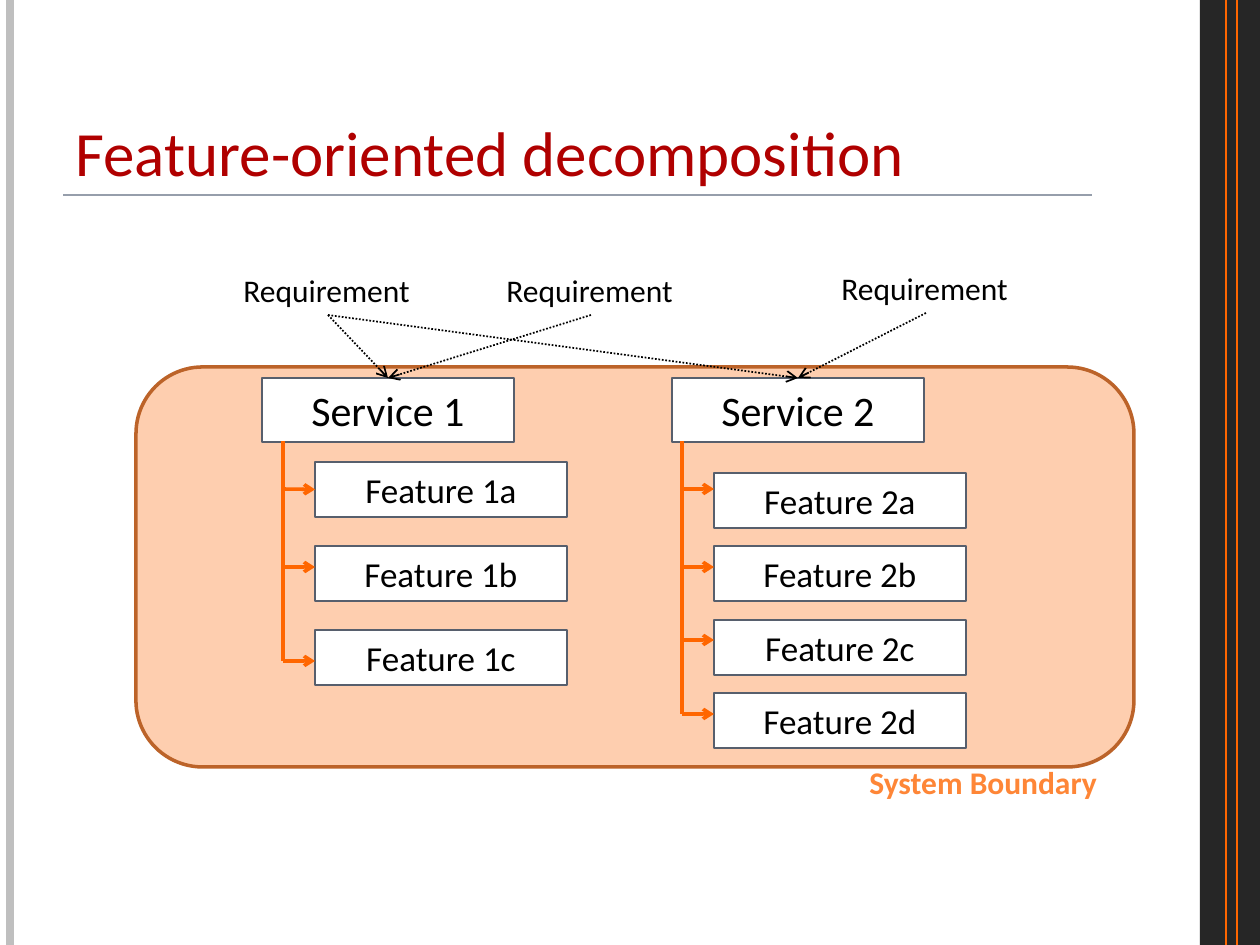
from dataclasses import dataclass

from lxml.etree import SubElement as Sub
from pptx import Presentation
from pptx.dml.color import RGBColor as RGB
from pptx.enum.dml import MSO_LINE as Dash
from pptx.enum.shapes import MSO_CONNECTOR as Link, MSO_SHAPE as Form
from pptx.enum.text import MSO_ANCHOR as Anchor, MSO_AUTO_SIZE as Fit, PP_ALIGN as Align
from pptx.oxml.ns import qn
from pptx.util import Pt

SCALE = 914400 / 126


@dataclass(frozen=True)
class Theme:
    font: str = "Calibri"
    title: str = "B00000"
    ink: str = "000000"
    paper: str = "FFFFFF"
    band: str = "262626"
    edge: str = "BFBFBF"
    rule: str = "969EAB"
    box: str = "575F6D"
    accent: str = "FF6600"
    bound: str = "FE8637"
    rim: str = "BC6329"
    head: int = 36
    large: int = 24
    mid: int = 20
    small: int = 18


T = Theme()


def px(*vals):
    return [round(v * SCALE) for v in vals]


def write(frame, text, size, color=T.ink, bold=False, align=Align.LEFT):
    para = frame.paragraphs[0]
    para.alignment = align
    run = para.add_run()
    run.text = text
    font = run.font
    font.name, font.size, font.bold = T.font, Pt(size), bold
    font.color.rgb = RGB.from_string(color)


def add_form(slide, form, area, fill, line=None, width=0.75):
    shape = slide.shapes.add_shape(form, *px(*area))
    shape.shadow.inherit = False
    shape.fill.solid()
    shape.fill.fore_color.rgb = RGB.from_string(fill)
    if line:
        shape.line.color.rgb = RGB.from_string(line)
        shape.line.width = Pt(width)
    else:
        shape.line.fill.background()
    return shape


def add_box(slide, text, area, size):
    box = add_form(slide, Form.RECTANGLE, area, T.paper, T.box)
    frame = box.text_frame
    frame.word_wrap = True
    frame.auto_size = Fit.SHAPE_TO_FIT_TEXT
    frame.vertical_anchor = Anchor.TOP
    write(frame, text, size, align=Align.CENTER)
    return box


def add_label(slide, text, area, wrap=False, **style):
    label = slide.shapes.add_textbox(*px(*area))
    label.text_frame.word_wrap = wrap
    label.text_frame.auto_size = Fit.SHAPE_TO_FIT_TEXT
    write(label.text_frame, text, T.small, **style)
    return label


def add_line(slide, ends, color, width, dash=None, arrow=False):
    line = slide.shapes.add_connector(Link.STRAIGHT, *px(*ends))
    line.line.color.rgb = RGB.from_string(color)
    line.line.width = Pt(width)
    if dash:
        line.line.dash_style = dash
    props = line.element.spPr
    if arrow:
        Sub(props.find(qn("a:ln")), qn("a:tailEnd"), type="arrow")
    Sub(props, qn("a:effectLst"))
    return line


def add_frame(slide):
    """Side bands and the rule below the title."""
    add_form(slide, Form.RECTANGLE, (1200, 0, 60, 945), T.band)
    for x, color, width in (10, T.edge, 4.5), (1226, T.accent, 0.75), (1237, T.accent, 0.75):
        add_line(slide, (x, 0, x, 945), color, width)
    add_line(slide, (63, 195, 1092, 195), T.rule, 1)


def add_title(slide, text):
    title = slide.shapes.title
    title.left, title.top, title.width, title.height = px(63, 38, 1029, 157)
    frame = title.text_frame
    frame.auto_size = Fit.NONE
    frame.vertical_anchor = Anchor.BOTTOM
    write(frame, text, T.head, T.title)


def add_bound(slide):
    bound = add_form(slide, Form.ROUNDED_RECTANGLE, (136, 367, 998, 400), T.bound, T.rim, 2)
    color = bound.element.spPr.find(qn("a:solidFill"))[0]
    Sub(color, qn("a:alpha"), val="40000")
    add_label(slide, "System Boundary", (857, 757, 403, 50), wrap=True,
              color=T.bound, bold=True)


def add_tree(slide, num, left, trunk, tops, stops):
    """A service with its features, joined by a trunk and branch arrows."""
    service = add_box(slide, f"Service {num}", (left, 378, 252, 64), T.large)
    tall, start = 55, trunk + 32
    add_line(slide, (trunk, 441, trunk, stops[-1]), T.accent, 2)
    for mark, top, stop in zip("abcd", tops, stops):
        box = add_box(slide, f"Feature {num}{mark}", (start, top, 252, tall), T.mid)
        branch = add_line(slide, (trunk, stop, start, stop), T.accent, 2, arrow=True)
        if abs(top + tall / 2 - stop) < 1:
            branch.end_connect(box, 1)
    return service


def add_need(slide, left, top, goals):
    need = add_label(slide, "Requirement", (left, top, 194, 50))
    for goal in goals:
        line = add_line(slide, (0, 0, 1, 1), T.ink, 1, Dash.ROUND_DOT, arrow=True)
        line.begin_connect(need, 2)
        line.end_connect(goal, 0)


def main():
    deck = Presentation()
    deck.slide_width, deck.slide_height = px(1260, 945)
    slide = deck.slides.add_slide(deck.slide_layouts[5])
    add_frame(slide)
    add_title(slide, "Feature-oriented decomposition")
    add_bound(slide)
    one = add_tree(slide, 1, 262, 283, (462, 546, 630), (489, 567, 661))
    two = add_tree(slide, 2, 672, 682, (473, 546, 620, 693), (489, 567, 640, 714))
    add_need(slide, 231, 265, (one, two))
    add_need(slide, 494, 265, (one,))
    add_need(slide, 829, 263, (two,))
    deck.save("out.pptx")


if __name__ == "__main__":
    main()
